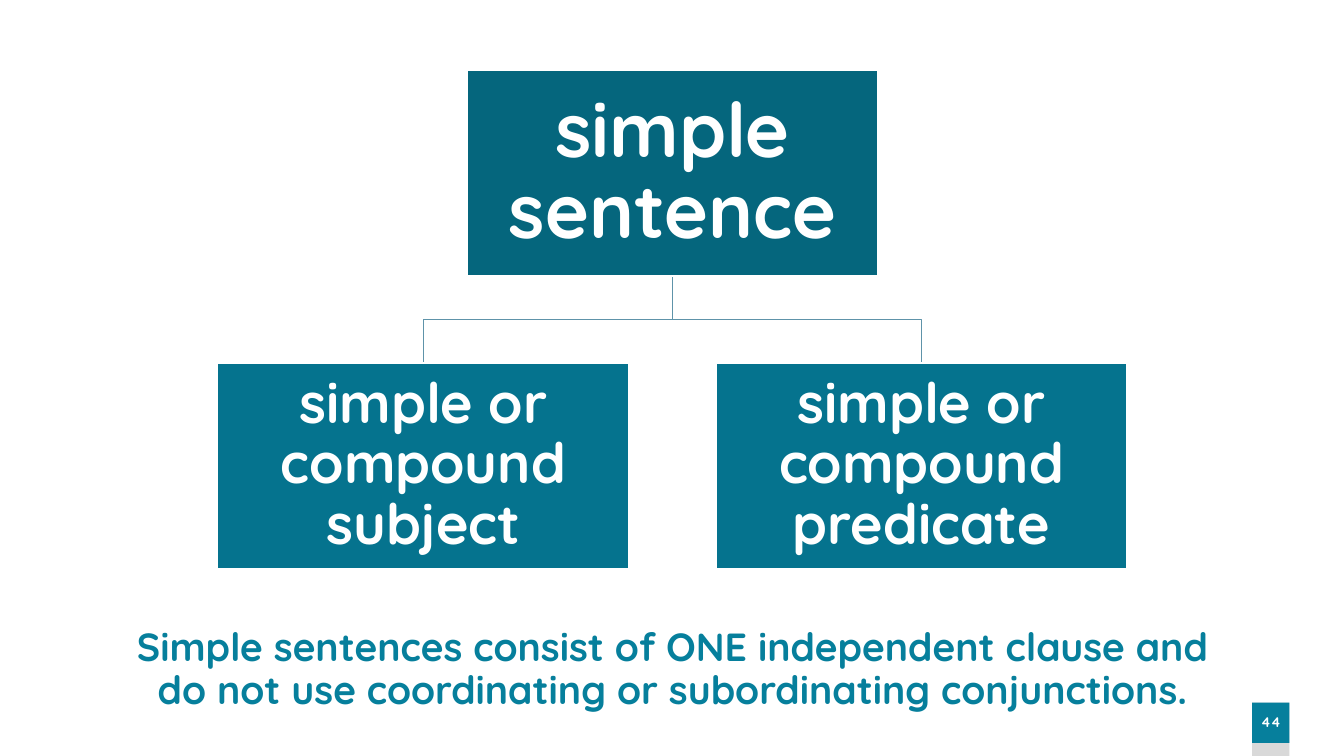
"""Build a slide that charts the parts of a simple sentence."""
import pptx
import pptx.util
import pptx.dml.color
import pptx.enum.shapes
import pptx.enum.text

Inches = pptx.util.Inches
RGBColor = pptx.dml.color.RGBColor

WHITE = RGBColor(0xFF, 0xFF, 0xFF)
GREY = RGBColor(0xD9, 0xD9, 0xD9)
TEAL = RGBColor(0x06, 0x7F, 0x9C)
DARK = RGBColor(0x05, 0x66, 0x7D)
DEEP = RGBColor(0x05, 0x73, 0x8E)
MIST = RGBColor(0x5E, 0x93, 0xA9)


def write(shape, text, size, color=WHITE, pad=(0.1, 0.05), middle=True):
    frame = shape.text_frame
    frame.word_wrap = True
    frame.margin_left = frame.margin_right = Inches(pad[0])
    frame.margin_top = frame.margin_bottom = Inches(pad[1])
    anchor = pptx.enum.text.MSO_ANCHOR
    frame.vertical_anchor = anchor.MIDDLE if middle else anchor.TOP
    para = frame.paragraphs[0]
    para.alignment = pptx.enum.text.PP_ALIGN.CENTER
    para.line_spacing = 0.9
    run = para.add_run()
    run.text = text
    run.font.name = "Quicksand"
    run.font.size = pptx.util.Pt(size)
    run.font.bold = True
    run.font.color.rgb = color


class Deck:
    def __init__(self):
        self.show = pptx.Presentation()
        self.show.slide_width = Inches(13.33)
        self.show.slide_height = Inches(7.5)
        self.slide = self.show.slides.add_slide(self.show.slide_layouts[6])

    def box(self, left, top, width, height, fill, line=None):
        kind = pptx.enum.shapes.MSO_SHAPE.RECTANGLE
        area = [Inches(n) for n in (left, top, width, height)]
        shape = self.slide.shapes.add_shape(kind, *area)
        shape.shadow.inherit = False
        shape.fill.solid()
        shape.fill.fore_color.rgb = fill
        self.edge(shape, line)
        return shape

    def edge(self, shape, color):
        if color is None:
            shape.line.fill.background()
        else:
            shape.line.color.rgb = color
            shape.line.width = pptx.util.Pt(1)

    def branch(self, start, end):
        mid = (start[1] + end[1]) / 2
        points = [start, (start[0], mid), (end[0], mid), end]
        spots = [(Inches(x), Inches(y)) for x, y in points]
        maker = self.slide.shapes.build_freeform(*spots[0])
        maker.add_line_segments(spots[1:], close=False)
        shape = maker.convert_to_shape()
        shape.shadow.inherit = False
        shape.fill.background()
        self.edge(shape, MIST)

    def label(self, left, top, width, height, text, **style):
        area = [Inches(n) for n in (left, top, width, height)]
        write(self.slide.shapes.add_textbox(*area), text, **style)


def main():
    deck = Deck()
    deck.box(12.42, 6.97, 0.37, 0.53, GREY)
    badge = deck.box(12.42, 6.97, 0.37, 0.4, TEAL)
    write(badge, "44", 10, pad=(0, 0.05))

    width, height = 4.08, 2.04
    center, top, low, shift = 6.67, 0.7, 3.6, 2.47
    leaves = [
        (center - shift, "simple or compound subject"),
        (center + shift, "simple or compound predicate"),
    ]
    for x, text in leaves:
        deck.branch((center, top + height), (x, low))
    root = deck.box(center - width / 2, top, width, height, DARK, WHITE)
    write(root, "simple sentence", 54, pad=(0.04, 0.04))
    for x, text in leaves:
        leaf = deck.box(x - width / 2, low, width, height, DEEP, WHITE)
        write(leaf, text, 40, pad=(0.03, 0.03))

    deck.label(
        1, 6.18, 11.34, 1,
        "Simple sentences consist of ONE independent clause and "
        "do not use coordinating or subordinating conjunctions.",
        size=28, color=TEAL, middle=False,
    )
    deck.show.save("out.pptx")


if __name__ == "__main__":
    main()
